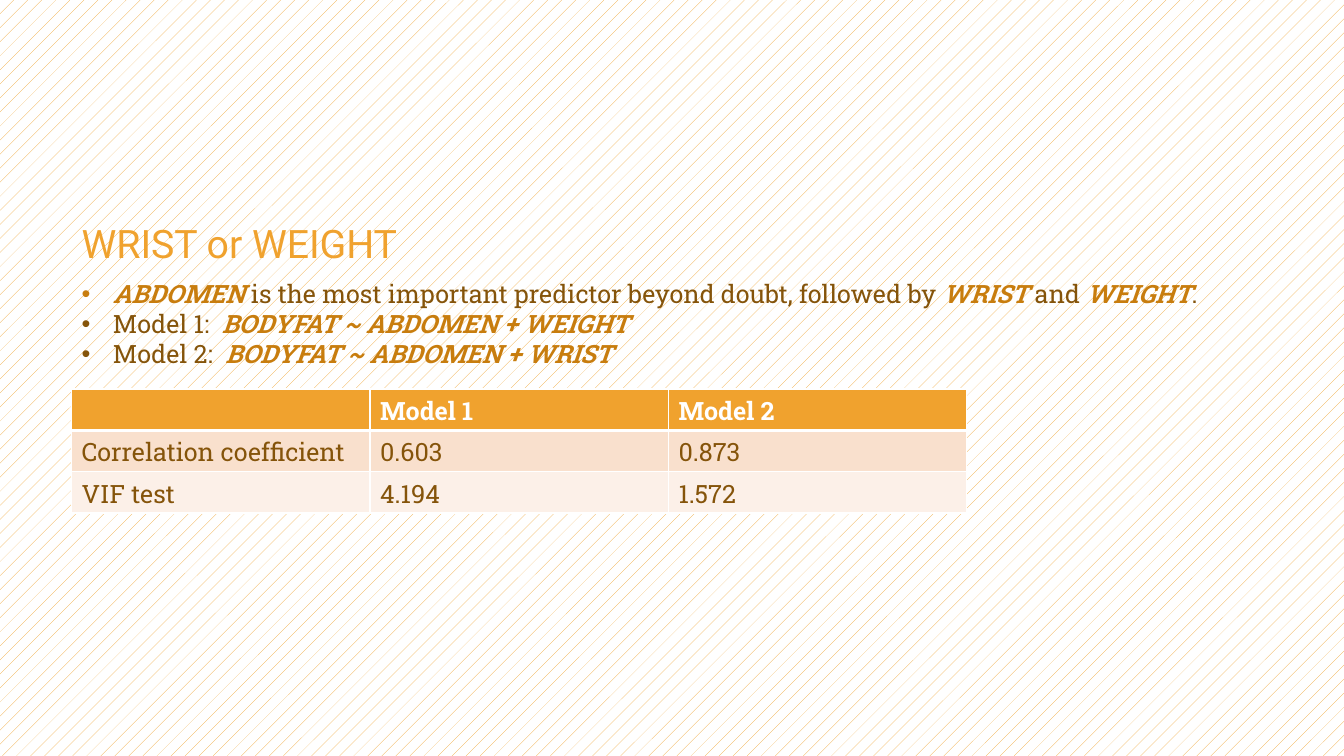
from lxml import etree
from pptx import Presentation
from pptx.dml.color import RGBColor
from pptx.enum.dml import MSO_PATTERN
from pptx.enum.text import MSO_ANCHOR, MSO_AUTO_SIZE, PP_ALIGN
from pptx.oxml.ns import qn
from pptx.util import Inches, Pt

TITLE = "WRIST or WEIGHT"
BULLETS = [
    [("ABDOMEN ", True),
     ("is the most important predictor beyond doubt, followed by ", False),
     ("WRIST", True), (" and ", False), ("WEIGHT", True), (".", False)],
    [("Model 1:  ", False), ("BODYFAT ~ ABDOMEN + WEIGHT", True)],
    [("Model 2:  ", False), ("BODYFAT ~ ABDOMEN + WRIST", True)],
]
ROWS = [
    ("", "Model 1", "Model 2"),
    ("Correlation coefficient", "0.603", "0.873"),
    ("VIF test", "4.194", "1.572"),
]

ORANGE = RGBColor(0xF0, 0xA2, 0x2E)
AMBER = RGBColor(0xC8, 0x7D, 0x0E)
BROWN = RGBColor(0x85, 0x54, 0x0A)
WHITE = RGBColor(0xFF, 0xFF, 0xFF)
ROW_FILLS = [ORANGE, RGBColor(0xF9, 0xE0, 0xCD), RGBColor(0xFC, 0xF0, 0xE8)]
HEAD_FONT, BODY_FONT = "Roboto", "Roboto Slab"
LEFT, COL_W, ROW_H = 0.71, 2.96, 0.41
TOP, LEFT_ALIGN = MSO_ANCHOR.TOP, PP_ALIGN.LEFT
FIT = MSO_AUTO_SIZE.SHAPE_TO_FIT_TEXT
PATTERN = MSO_PATTERN.PERCENT_5


def place(sp, top, width, height):
    sp.left, sp.top = Inches(LEFT), Inches(top)
    sp.width, sp.height = Inches(width), Inches(height)
    tf = sp.text_frame
    tf.word_wrap, tf.auto_size, tf.vertical_anchor = True, FIT, TOP
    return tf


def style(p, name, size):
    p.alignment = LEFT_ALIGN
    p.space_before = Pt(0)
    p.font.name, p.font.size = name, Pt(size)


def add_bullet(p):
    pPr = p._p.get_or_add_pPr()
    pPr.set("marL", str(Inches(0.31)))
    pPr.set("indent", str(-Inches(0.31)))
    bullet = etree.Element(qn("a:buChar"), char="•")
    pPr.insert_element_before(bullet, "a:tabLst", "a:defRPr", "a:extLst")


def add_borders(cell, bottom):
    tcPr = cell._tc.get_or_add_tcPr()
    widths = {"lnL": 1, "lnR": 1, "lnT": 1, "lnB": bottom}
    for i, (side, width) in enumerate(widths.items()):
        ln = etree.Element(qn("a:" + side), w=str(Pt(width)))
        fill = etree.SubElement(ln, qn("a:solidFill"))
        etree.SubElement(fill, qn("a:srgbClr"), val=str(WHITE))
        tcPr.insert(i, ln)


prs = Presentation()
prs.slide_width, prs.slide_height = Inches(13.33), Inches(7.5)
slide = prs.slides.add_slide(prs.slide_layouts[1])
fill = slide.background.fill
fill.patterned()
fill.pattern = PATTERN
fill.fore_color.rgb, fill.back_color.rgb = ORANGE, WHITE

tf = place(slide.shapes.title, 2.13, 5.79, 0.57)
tf.text = TITLE
p = tf.paragraphs[0]
style(p, HEAD_FONT, 28)
p.font.color.rgb = ORANGE

tf = place(slide.placeholders[1], 2.71, 11.72, 1.31)
for i, runs in enumerate(BULLETS):
    p = tf.add_paragraph() if i else tf.paragraphs[0]
    style(p, BODY_FONT, 18)
    add_bullet(p)
    for text, strong in runs:
        r = p.add_run()
        r.text = text
        r.font.bold = r.font.italic = strong
        r.font.color.rgb = AMBER if strong else BROWN

table = slide.shapes.add_table(
    len(ROWS), len(ROWS[0]), Inches(LEFT), Inches(3.86),
    Inches(COL_W * len(ROWS[0])), Inches(ROW_H * len(ROWS))).table
for i, row in enumerate(ROWS):
    header = i == 0
    for j, text in enumerate(row):
        cell = table.cell(i, j)
        cell.text = text
        cell.fill.solid()
        cell.fill.fore_color.rgb = ROW_FILLS[i]
        add_borders(cell, 3 if header else 1)
        p = cell.text_frame.paragraphs[0]
        style(p, BODY_FONT, 18)
        p.font.bold = header
        p.font.color.rgb = WHITE if header else BROWN

prs.save("out.pptx")
